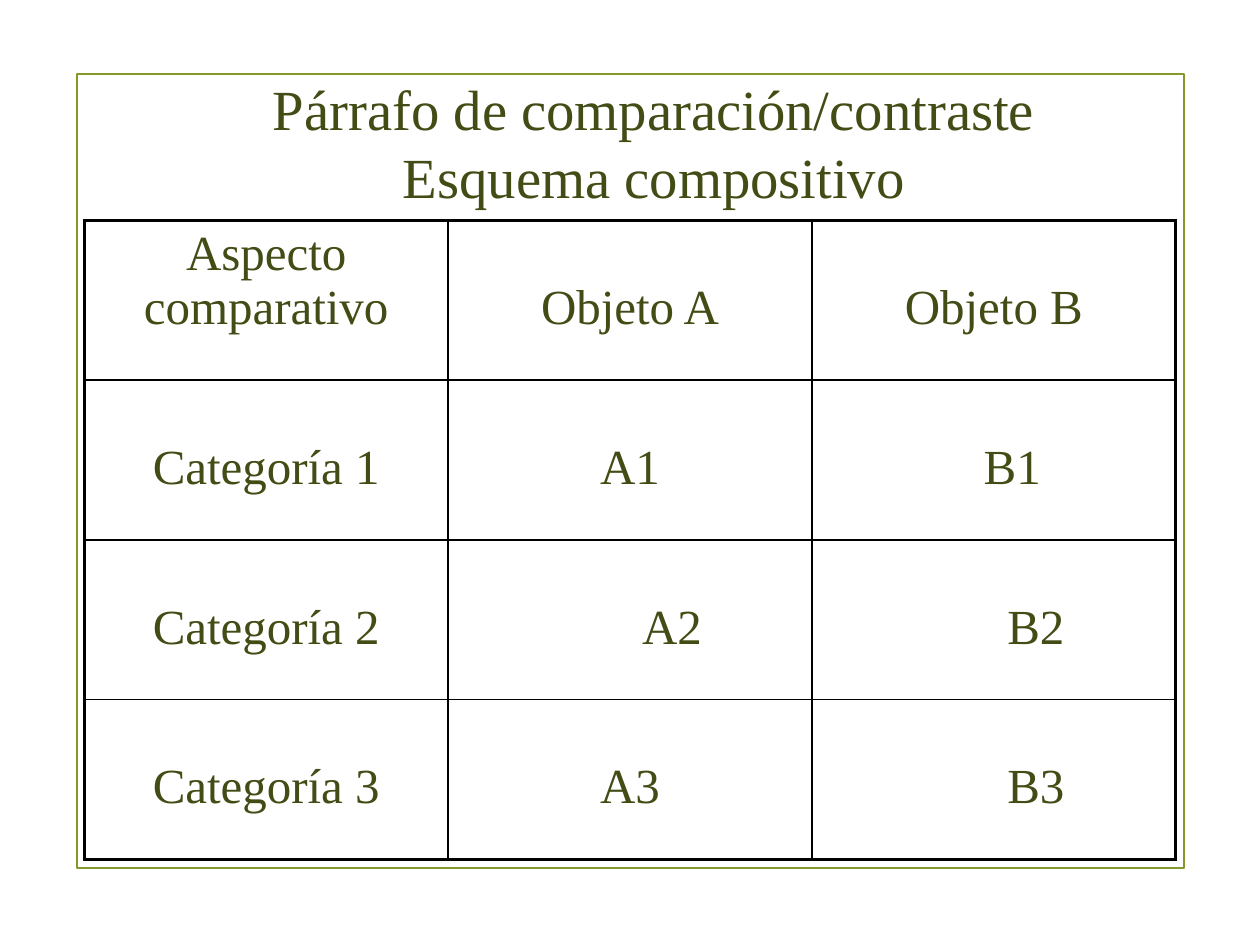
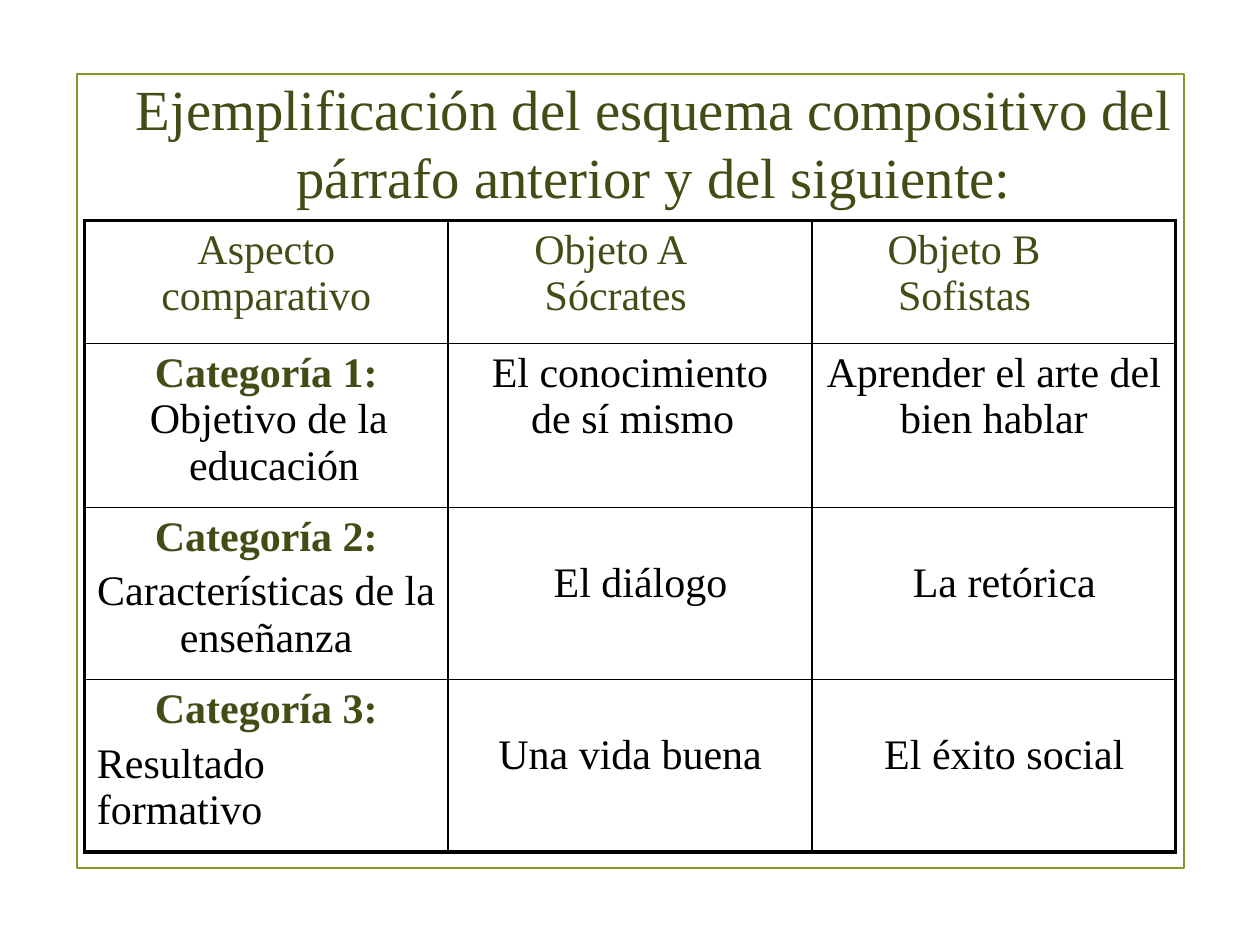
from lxml import etree
from pptx import Presentation
from pptx.dml.color import RGBColor
from pptx.enum import shapes, text
from pptx.oxml.ns import qn
from pptx.util import Pt

FONT = "Times New Roman"
OLIVE, LEAF, BLACK = "414D15", "83992A", "000000"
LEFT, CENTER, JUSTIFY = text.PP_ALIGN.LEFT, text.PP_ALIGN.CENTER, text.PP_ALIGN.JUSTIFY

FRAME_BOX = (43.9, 42.5, 632.9, 453.6)
TITLE_BOX = (49.7, 36, 648, 90)
TABLE_LEFT, TABLE_TOP, COLUMN_WIDTH = 48.2, 126, 207.9
TITLE_SIZE, TITLE_PITCH = 32.4, 38.9
CELL_MARGIN = 3.6
LINE_HEIGHT = 1.107  # line height of the font, per point of size
OUTER, INNER = 2.25, 1


def entry(words, color=OLIVE, align=CENTER, bold=False, left=0, first=0):
    """One paragraph of a cell; left and first are its indents in points."""
    return {"words": words, "color": color, "align": align, "bold": bold,
            "left": left, "first": first}


def fact(words, **options):
    return entry(words, BLACK, **options)


def category(number, **options):
    return entry(f"Categoría {number}:", bold=True, **options)


# A cell is (lines left free above the text, paragraphs).
SLIDES = [
    {
        "title": "Párrafo de comparación/contraste\vEsquema compositivo",
        "size": 28,
        "row_heights": [91.26] * 4,
        "rows": [
            [(0, [entry("Aspecto comparativo")]),
             (1, [entry("Objeto A")]),
             (1, [entry("Objeto B")])],
            [(1, [entry("Categoría 1")]),
             (1, [entry("A1")]),
             (1, [entry("B1", left=21)])],
            [(1, [entry("Categoría 2")]),
             (1, [entry("A2", left=48)]),
             (1, [entry("B2", left=48)])],
            [(1, [entry("Categoría 3")]),
             (1, [entry("A3")]),
             (1, [entry("B3", left=48)])],
        ],
    },
    {
        "title": "Ejemplificación del esquema compositivo del párrafo anterior y del siguiente:",
        "size": 24,
        "row_heights": [70.3] + [91.3] * 3,
        "rows": [
            [(0, [entry("Aspecto comparativo")]),
             (0, [entry("Objeto A", align=LEFT, left=42),
                  entry("Sócrates", align=LEFT, left=48)]),
             (0, [entry("Objeto B", align=JUSTIFY, left=36),
                  entry("Sofistas", align=JUSTIFY, left=42)])],
            [(0, [category(1, first=-6),
                  fact("Objetivo de la educación", left=9, first=-6)]),
             (0, [fact("El conocimiento\vde sí mismo", left=3, first=-14)]),
             (0, [fact("Aprender el arte del bien hablar")])],
            [(0, [category(2), fact("Características de la enseñanza")]),
             (1, [fact("El diálogo", left=12)]),
             (1, [fact("La retórica", left=12)])],
            [(0, [category(3), fact("Resultado formativo", align=LEFT)]),
             (1, [fact("Una vida buena")]),
             (1, [fact("El éxito social", left=12)])],
        ],
    },
]
# Categories 2 and 3 of the example stand a little apart from their text.
SPACED_ROWS = (2, 3)


def rgb(value):
    return RGBColor.from_string(value)


def points(values):
    return [Pt(value) for value in values]


def apply(target, formats):
    for name, value in formats.items():
        setattr(target, name, value)


def write(paragraph, words, size, color=OLIVE, align=CENTER, bold=False):
    paragraph.text = words
    paragraph.alignment = align
    for run in paragraph.runs:
        apply(run.font, {"name": FONT, "size": Pt(size), "bold": bold})
        run.font.color.rgb = rgb(color)


def add_frame(slide):
    shape = slide.shapes.add_shape(shapes.MSO_SHAPE.RECTANGLE, *points(FRAME_BOX))
    shape.shadow.inherit = False
    shape.fill.background()
    shape.line.color.rgb = rgb(LEAF)
    shape.line.width = Pt(1.25)


def add_title(slide, words):
    frame = slide.shapes.add_textbox(*points(TITLE_BOX)).text_frame
    apply(frame, {"word_wrap": True, "vertical_anchor": text.MSO_ANCHOR.MIDDLE})
    paragraph = frame.paragraphs[0]
    write(paragraph, words, TITLE_SIZE)
    paragraph.line_spacing = Pt(TITLE_PITCH)


def draw_borders(cell, widths):
    properties = cell._tc.get_or_add_tcPr()
    for side, width in widths.items():
        line = etree.SubElement(properties, qn(f"a:ln{side}"), w=str(Pt(width)))
        fill = etree.SubElement(line, qn("a:solidFill"))
        etree.SubElement(fill, qn("a:srgbClr"), val=BLACK)


def fill_cell(cell, free_lines, entries, size, gap):
    cell.margin_top = Pt(CELL_MARGIN + free_lines * size * LINE_HEIGHT)
    frame = cell.text_frame
    for index, item in enumerate(entries):
        paragraph = frame.add_paragraph() if index else frame.paragraphs[0]
        write(paragraph, item["words"], size, item["color"], item["align"], item["bold"])
        paragraph.space_before = Pt(gap if index else 0)
        properties = paragraph._p.get_or_add_pPr()
        properties.set("marL", str(Pt(item["left"])))
        properties.set("indent", str(Pt(item["first"])))


def add_comparison(slide, rows, row_heights, size):
    row_count, column_count = len(rows), len(rows[0])
    table = slide.shapes.add_table(
        row_count, column_count,
        *points((TABLE_LEFT, TABLE_TOP, COLUMN_WIDTH * column_count, sum(row_heights)))).table
    apply(table, {"first_row": False, "horz_banding": False})
    for column in table.columns:
        column.width = Pt(COLUMN_WIDTH)
    for r, (cells, height) in enumerate(zip(rows, row_heights)):
        table.rows[r].height = Pt(height)
        gap = 0.2 * size if r in SPACED_ROWS else 0
        for c, (free_lines, entries) in enumerate(cells):
            cell = table.cell(r, c)
            fill_cell(cell, free_lines, entries, size, gap)
            at_edge = {"L": c == 0, "R": c == column_count - 1,
                       "T": r == 0, "B": r == row_count - 1}
            draw_borders(cell, {side: OUTER if edge else INNER
                                for side, edge in at_edge.items()})
            cell.fill.background()


def main():
    presentation = Presentation()
    apply(presentation, {"slide_width": Pt(720), "slide_height": Pt(540)})
    for content in SLIDES:
        slide = presentation.slides.add_slide(presentation.slide_layouts[6])
        add_frame(slide)
        add_title(slide, content["title"])
        add_comparison(slide, content["rows"], content["row_heights"], content["size"])
    presentation.save("out.pptx")


if __name__ == "__main__":
    main()
